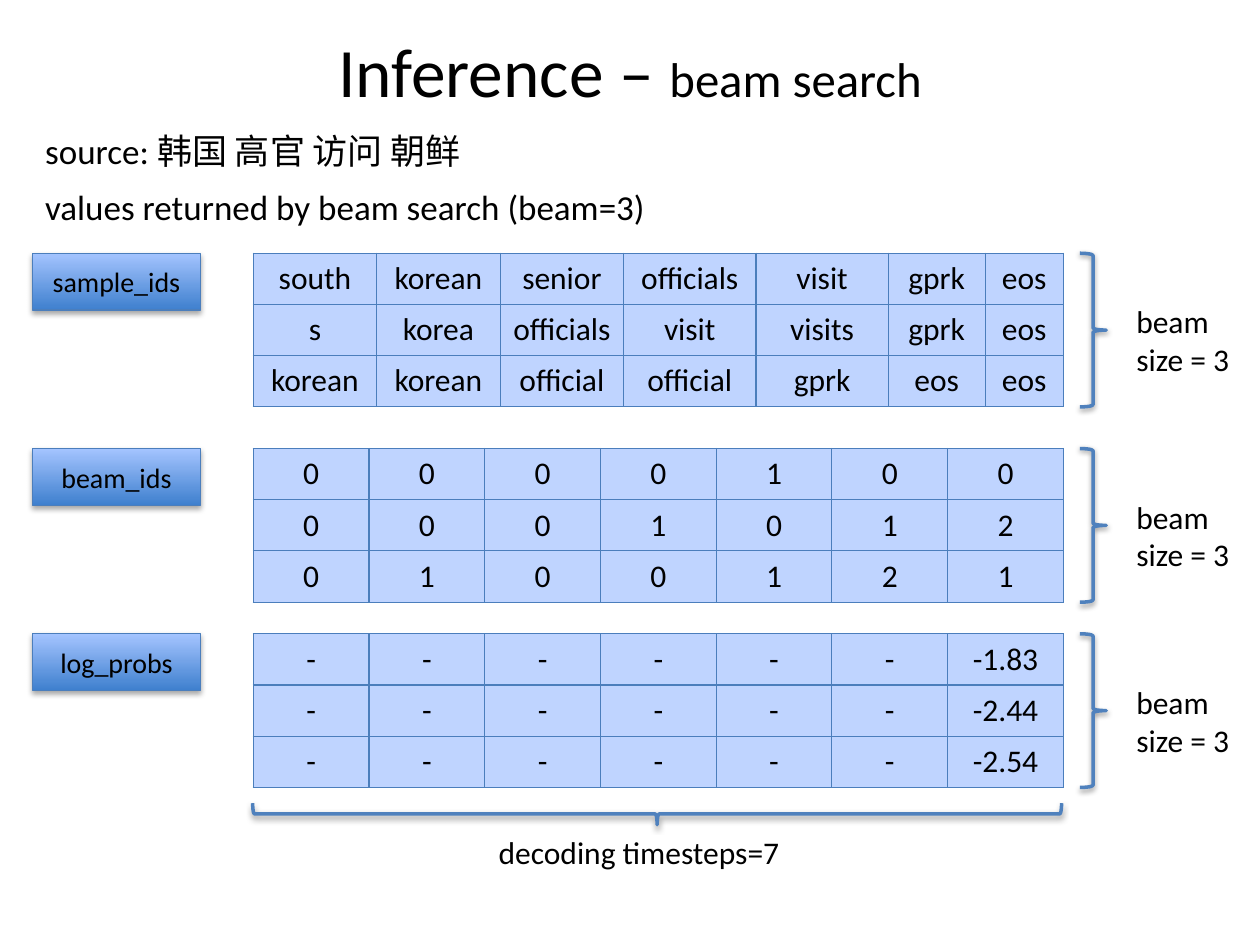
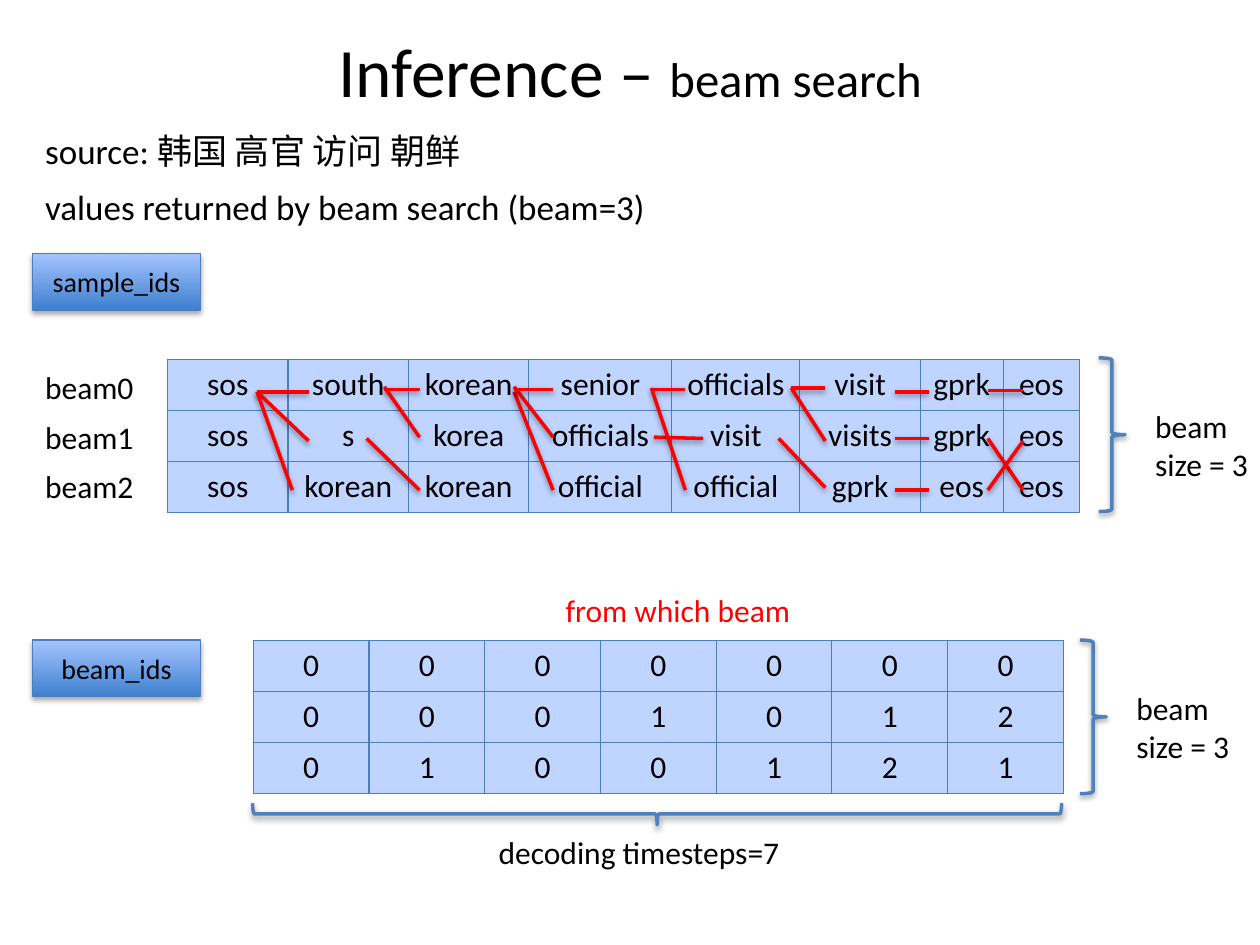
"""Builds two slides that explain the values returned by beam search."""
from pptx import Presentation, util as u
from pptx.dml.color import RGBColor
from pptx.enum import shapes, text
from pptx.oxml import parse_xml
from pptx.oxml.ns import nsdecls

HUES = {"ink": "000000", "mark": "FF0000", "edge": "4B7EBC", "brace": "4F81BD",
        "cell": "BFD4FF", "dark": "3F80CE", "light": "A4C4FF"}
FONT = "Calibri"
SCALE = 9144
MID = text.PP_ALIGN.CENTER

WORDS = ["south korean senior officials visit gprk eos".split(),
         "s korea officials visit visits gprk eos".split(),
         "korean korean official official gprk eos eos".split()]
BEAMS = ["0000100", "0001012", "0100121"]
PROBS = [["-"] * 6 + [end] for end in ("-1.83", "-2.44", "-2.54")]
LINKS = [
    (204, 311, 245, 311), (204, 311, 245, 350), (204, 311, 232, 389),
    (305, 309, 333, 309), (305, 307, 333, 347), (291, 348, 333, 389),
    (408, 311, 439, 389), (408, 307, 439, 347), (408, 309, 439, 309),
    (517, 309, 544, 309), (519, 347, 558, 348), (517, 308, 544, 389),
    (628, 308, 655, 308), (628, 308, 655, 350), (618, 348, 655, 387),
    (710, 311, 737, 311), (710, 348, 737, 348), (710, 389, 737, 389),
    (784, 310, 812, 310), (784, 348, 812, 389), (784, 389, 812, 350),
]


def px(*nums):
    """Turn px lengths into EMU."""
    return [n * SCALE for n in nums]


def rgb(hue):
    """Look up a named colour."""
    return RGBColor.from_string(HUES[hue])


class Deck:
    """Holds the style and the current slide."""

    def __init__(self):
        """Start an empty deck."""
        self.prs = Presentation()
        self.prs.slide_width, self.prs.slide_height = px(1000, 750)
        self.slide = None

    def style(self, para, size, hue="ink", align=None):
        """Format the runs of a paragraph."""
        para.alignment = align
        for run in para.runs:
            run.font.name = FONT
            run.font.size = u.Pt(size)
            run.font.color.rgb = rgb(hue)

    def shade(self, shape, alpha=38, dist=20000):
        """Give a shape a soft shadow below it."""
        shape.element.spPr.append(parse_xml(
            f'<a:effectLst {nsdecls("a")}><a:outerShdw blurRad="40000" dist="{dist}" '
            f'dir="5400000" rotWithShape="0"><a:srgbClr val="000000">'
            f'<a:alpha val="{alpha * 1000}"/></a:srgbClr></a:outerShdw></a:effectLst>'))

    def title(self, main, tail):
        """Add a slide with a two-size title."""
        self.slide = self.prs.slides.add_slide(self.prs.slide_layouts[5])
        head = self.slide.shapes.title
        head.left, head.top, head.width, head.height = px(50, 30, 900, 50)
        frame = head.text_frame
        frame.auto_size = text.MSO_AUTO_SIZE.NONE
        frame.vertical_anchor = text.MSO_ANCHOR.MIDDLE
        para = frame.paragraphs[0]
        para.text = main
        para.add_run().text = tail
        self.style(para, 39.6, align=MID)
        para.runs[1].font.size = u.Pt(27.9)

    def label(self, words, x, y, w, h, size=18, hue="ink"):
        """Add a text box."""
        frame = self.slide.shapes.add_textbox(*px(x, y, w, h)).text_frame
        frame.word_wrap = True
        frame.text = words
        for para in frame.paragraphs:
            self.style(para, size, hue)

    def tag(self, name, y):
        """Add a gradient box that names a value."""
        box = self.slide.shapes.add_shape(shapes.MSO_SHAPE.RECTANGLE, *px(26, y, 133, 45))
        box.fill.gradient()
        box.fill.gradient_angle = 90
        for stop, hue in zip(box.fill.gradient_stops, ("dark", "light")):
            stop.color.rgb = rgb(hue)
        box.line.color.rgb = rgb("edge")
        box.line.width = u.Pt(0.75)
        self.shade(box, 35, 23000)
        frame = box.text_frame
        frame.vertical_anchor = text.MSO_ANCHOR.MIDDLE
        frame.text = name
        self.style(frame.paragraphs[0], 16, align=MID)

    def brace(self, x, y, w, h, turn=0):
        """Add a right brace."""
        mark = self.slide.shapes.add_shape(shapes.MSO_SHAPE.RIGHT_BRACE, *px(x, y, w, h))
        mark.rotation = turn
        mark.fill.background()
        mark.line.color.rgb = rgb("brace")
        mark.line.width = u.Pt(2)
        self.shade(mark)

    def size(self, x, y):
        """Add a brace with the beam size."""
        self.brace(x, y, 21, 122)
        self.label("beam\nsize = 3", x + 35, y + 34, 116, 71)

    def link(self, *ends):
        """Add a red line between two cells."""
        line = self.slide.shapes.add_connector(shapes.MSO_CONNECTOR.STRAIGHT, *px(*ends))
        line.line.color.rgb = rgb("mark")
        line.line.width = u.Pt(2)
        self.shade(line)

    def border(self, cell):
        """Draw the four borders of a cell."""
        props = cell._tc.get_or_add_tcPr()
        for i, side in enumerate(("lnL", "lnR", "lnT", "lnB")):
            props.insert(i, parse_xml(
                f'<a:{side} {nsdecls("a")} w="9525"><a:solidFill>'
                f'<a:srgbClr val="{HUES["edge"]}"/></a:solidFill></a:{side}>'))

    def table(self, rows, x, y, w, parts):
        """Add a table whose columns share its width by parts."""
        wide, high = px(w, 122)
        grid = self.slide.shapes.add_table(
            len(rows), len(parts), *px(x, y), wide, high).table
        grid.first_row = grid.horz_banding = False
        for col, part in zip(grid.columns, parts):
            col.width = wide * part // sum(parts)
        for r, row in enumerate(rows):
            grid.rows[r].height = high // len(rows)
            for c, word in enumerate(row):
                cell = grid.cell(r, c)
                cell.margin_left, cell.margin_right = px(5, 5)
                cell.fill.solid()
                cell.fill.fore_color.rgb = rgb("cell")
                self.border(cell)
                cell.text_frame.text = word
                self.style(cell.text_frame.paragraphs[0], 18, align=MID)

    def block(self, name, y, rows, parts=(1,) * 7):
        """Add a named table with its beam size."""
        self.tag(name, y)
        self.table(rows, 201, y, 643, parts)
        self.size(857, y)

    def base(self):
        """Add a slide with the parts that both slides share."""
        self.title("Inference – ", "beam search")
        self.label("source: 韩国 高官 访问 朝鲜", 26, 98, 553, 44, 20)
        self.label("values returned by beam search (beam=3)", 26, 142, 553, 44, 20)
        self.brace(513, 325, 17, 642, 90)
        self.label("decoding timesteps=7", 386, 656, 290, 40)


def main():
    """Build and save the deck."""
    deck = Deck()

    deck.base()
    deck.block("sample_ids", 201, WORDS, (98, 98, 98, 105, 105, 77, 62))
    deck.block("beam_ids", 356, BEAMS)
    deck.block("log_probs", 503, PROBS)

    deck.base()
    deck.tag("sample_ids", 201)
    for i, y in enumerate((287, 327, 366)):
        deck.label(f"beam{i}", 26, y, 116, 40)
    deck.table([["sos"] + row for row in WORDS], 133, 285, 724,
               (96, 96, 96, 114, 102, 96, 66, 61))
    deck.size(872, 284)
    for ends in LINKS:
        deck.link(*ends)
    deck.label("from which beam", 439, 464, 317, 40, hue="mark")
    deck.block("beam_ids", 508, ["0" * 7] + BEAMS[1:])

    deck.prs.save("out.pptx")


if __name__ == "__main__":
    main()
